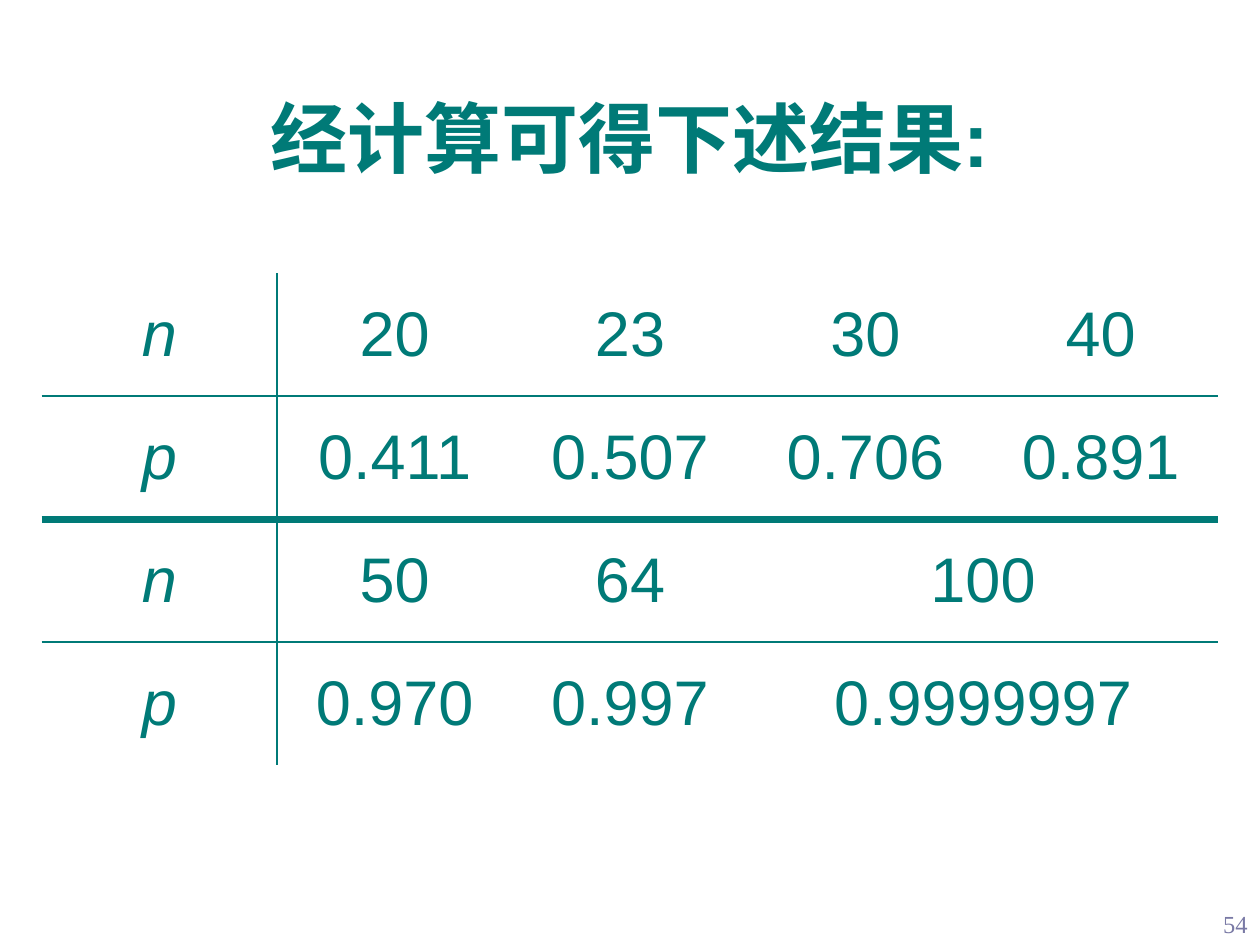
from lxml import etree
from pptx import Presentation
from pptx.dml.color import RGBColor
from pptx.enum import text
from pptx.oxml import ns
from pptx.util import Cm, Pt

TEAL = RGBColor(0x00, 0x7A, 0x77)
LAVENDER = RGBColor(0x79, 0x79, 0xA5)

MARGIN = 0.84
CONTENT_WIDTH = 23.72
THIN, THICK = 1, 4.5

ROWS = [
    ["n", "20", "23", "30", "40"],
    ["p", "0.411", "0.507", "0.706", "0.891"],
    ["n", "50", "64", "100", ""],
    ["p", "0.970", "0.997", "0.9999997", ""],
]
RULES = [THIN, THICK, THIN]  # line widths between successive rows


class SlideBuilder:
    """Holds the slide and the shared text style."""

    font_name = "Arial"
    color = TEAL

    def __init__(self, slide):
        self.slide = slide

    def style(self, paragraph, size, align=text.PP_ALIGN.CENTER, name=None,
              color=None, bold=False, italic=False):
        paragraph.alignment = align
        for run in paragraph.runs:
            font = run.font
            font.name = name or self.font_name
            font.size = Pt(size)
            font.bold = bold
            font.italic = italic
            font.color.rgb = color or self.color

    def add_text(self, content, left, top, width, height, size,
                 anchor=text.MSO_ANCHOR.TOP, **options):
        shape = self.slide.shapes.add_textbox(
            Cm(left), Cm(top), Cm(width), Cm(height))
        frame = shape.text_frame
        frame.word_wrap = True
        frame.vertical_anchor = anchor
        frame.text = content
        self.style(frame.paragraphs[0], size, **options)

    def set_borders(self, cell, **widths):
        properties = cell._tc.get_or_add_tcPr()
        for index, side in enumerate("LRTB"):
            line = etree.Element(ns.qn(f"a:ln{side}"))
            width = widths.get(side)
            if width:
                line.set("w", str(Pt(width)))
                fill = etree.SubElement(line, ns.qn("a:solidFill"))
                etree.SubElement(fill, ns.qn("a:srgbClr"), val=str(self.color))
            else:
                etree.SubElement(line, ns.qn("a:noFill"))
            properties.insert(index, line)

    def add_table(self, rows, rules, left, top, width, height, size):
        column_count = len(rows[0])
        table = self.slide.shapes.add_table(
            len(rows), column_count,
            Cm(left), Cm(top), Cm(width), Cm(height)).table
        table.first_row = table.horz_banding = False
        edges = [None, *rules, None]
        for i, values in enumerate(rows):
            for j, value in enumerate(values):
                cell = table.cell(i, j)
                cell.fill.background()
                cell.vertical_anchor = text.MSO_ANCHOR.MIDDLE
                cell.text = value
                self.style(cell.text_frame.paragraphs[0], size, italic=j == 0)
                self.set_borders(cell, T=edges[i], B=edges[i + 1],
                                 L=THIN if j == 1 else None,
                                 R=THIN if j == 0 else None)
            # An empty last value means the one before it spans two columns
            if not values[-1]:
                table.cell(i, column_count - 2).merge(
                    table.cell(i, column_count - 1))


def main():
    presentation = Presentation()
    presentation.slide_width = Cm(25.4)
    presentation.slide_height = Cm(19.05)
    slide = presentation.slides.add_slide(presentation.slide_layouts[6])
    builder = SlideBuilder(slide)

    # Slide number
    builder.add_text("54", 23.7, 18.21, 1.7, 0.84, 14,
                     align=text.PP_ALIGN.RIGHT, name="Times New Roman",
                     color=LAVENDER)

    # Title
    builder.add_text("经计算可得下述结果:", MARGIN, 1.7, CONTENT_WIDTH, 3.18, 44,
                     bold=True)

    # Probabilities by group size
    builder.add_table(ROWS, RULES, MARGIN, 5.51, CONTENT_WIDTH, 9.91, 36)

    presentation.save("out.pptx")


if __name__ == "__main__":
    main()
